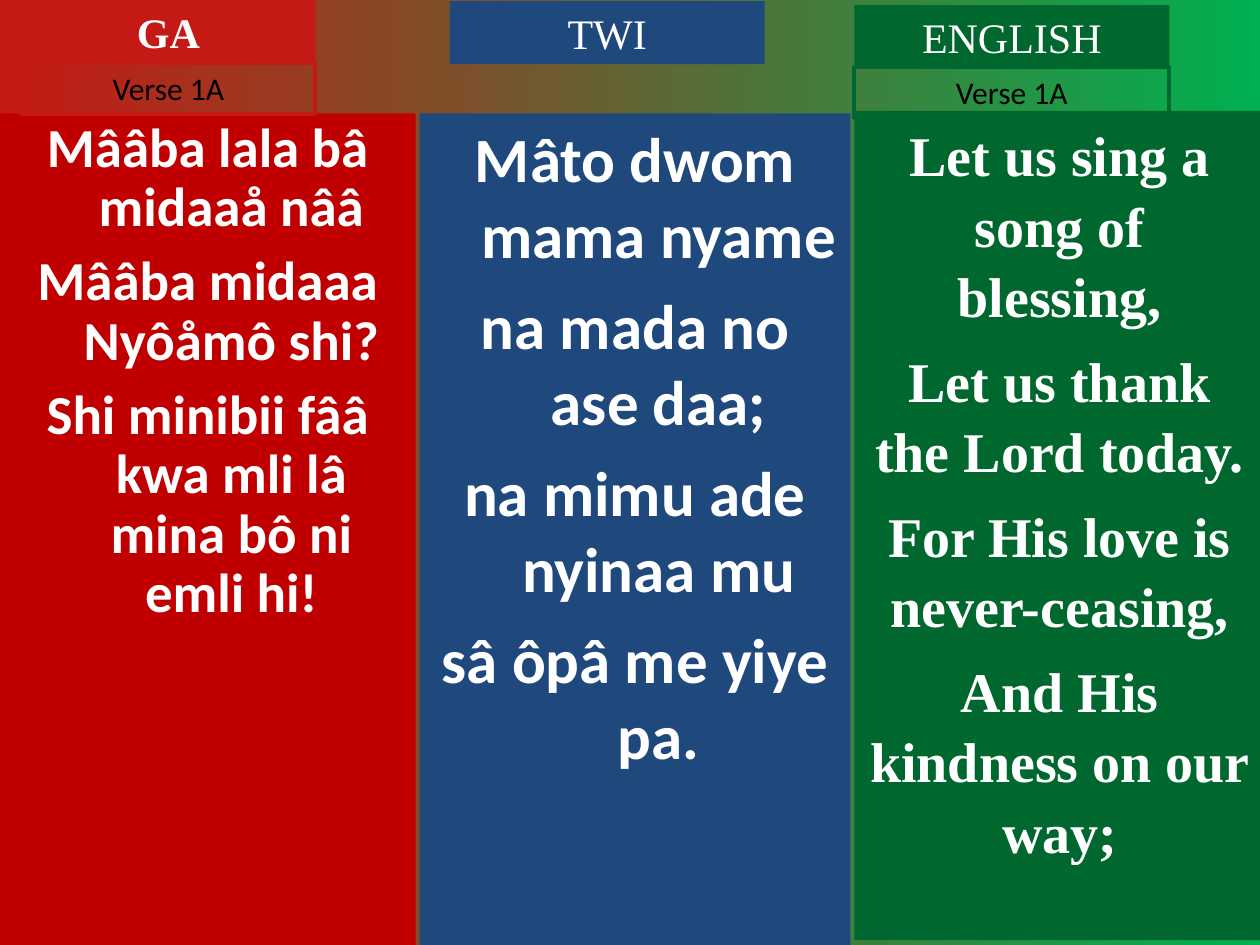
from pptx import Presentation
from pptx.dml.color import RGBColor
from pptx.enum.shapes import MSO_SHAPE
from pptx.enum.text import MSO_ANCHOR, MSO_AUTO_SIZE, PP_ALIGN
from pptx.util import Pt

RECTANGLE = MSO_SHAPE.RECTANGLE
TOP = MSO_ANCHOR.TOP
GROW = MSO_AUTO_SIZE.SHAPE_TO_FIT_TEXT
CENTER = PP_ALIGN.CENTER

COLORS = {
    "ga": "C51915",
    "ga_verse": "C00000",
    "twi": "1F497D",
    "english": "00682F",
    "bright_green": "00B050",
    "white": "FFFFFF",
    "black": "000000",
}
SANS, SERIF = "Calibri", "Times New Roman"
HANGING = 27

# box (left, top, width, height), fill, font size, font, paragraph format, hanging, lines
LYRICS = [
    ((0, 64.8, 237.6, 475.2), "ga_verse", 31.4, SANS,
     {"space_before": Pt(8.5), "line_spacing": 0.9}, True,
     ["Mââba lala bâ midaaå nââ",
      "Mââba midaaa Nyôåmô shi?",
      "Shi minibii fââ kwa mli lâ mina bô ni emli hi!"]),
    ((239.8, 64.8, 246.2, 475.2), "twi", 36, SANS,
     {"space_before": Pt(9)}, True,
     ["Mâto dwom mama nyame",
      "na mada no ase daa;",
      "na mimu ade nyinaa mu",
      "sâ ôpâ me yiye pa."]),
    ((488.2, 63.4, 234.7, 473.8), "english", 32, SERIF,
     {"space_before": Pt(8), "line_spacing": 1.05}, False,
     ["Let us sing a song of blessing,",
      "Let us thank the Lord today.",
      "For His love is never-ceasing,",
      "And His kindness on our way;"]),
]

# box, fill, language, bold
HEADINGS = [
    ((12.2, 0, 168, 36), "ga", "GA", True),
    ((257, 0.7, 180, 36), "twi", "TWI", False),
    ((488.2, 2.9, 180, 36), "english", "ENGLISH", False),
]

# box, outline
VERSE_TAGS = [
    ((12.2, 36, 168, 29), "ga"),
    ((488.2, 38.2, 180, 29), "english"),
]


def color(name):
    return RGBColor.from_string(COLORS[name])


def paint_background(slide):
    fill = slide.background.fill
    fill.gradient()
    fill.gradient_angle = 0
    for stop, name in zip(fill.gradient_stops, ("ga", "bright_green")):
        stop.color.rgb = color(name)


def add_panel(slide, box, fill=None, outline=None):
    panel = slide.shapes.add_shape(RECTANGLE, *map(Pt, box))
    panel.shadow.inherit = False
    if fill:
        panel.fill.solid()
        panel.fill.fore_color.rgb = color(fill)
    else:
        panel.fill.background()
    if outline:
        panel.line.color.rgb = color(outline)
        panel.line.width = Pt(2.25)
    else:
        panel.line.fill.background()
    panel.text_frame.word_wrap = True
    panel.text_frame.vertical_anchor = TOP
    return panel.text_frame


def write_line(paragraph, words, ink, font_format, paragraph_format):
    for name, value in {"alignment": CENTER, **paragraph_format}.items():
        setattr(paragraph, name, value)
    run = paragraph.add_run()
    run.text = words
    for name, value in font_format.items():
        setattr(run.font, name, value)
    run.font.color.rgb = color(ink)


def add_lyrics(slide, box, fill, size, font, spacing, hanging, lines):
    frame = add_panel(slide, box, fill)
    font_format = {"name": font, "size": Pt(size), "bold": True}
    for number, words in enumerate(lines):
        paragraph = frame.add_paragraph() if number else frame.paragraphs[0]
        if hanging:
            properties = paragraph._p.get_or_add_pPr()
            properties.set("marL", str(Pt(HANGING)))
            properties.set("indent", str(-Pt(HANGING)))
        # The first line starts at the top of its panel
        line_format = spacing if number else {**spacing, "space_before": Pt(0)}
        write_line(paragraph, words, "white", font_format, line_format)


def add_label(slide, box, words, ink, font_format, fill=None, outline=None):
    frame = add_panel(slide, box, fill, outline)
    frame.auto_size = GROW
    write_line(frame.paragraphs[0], words, ink, font_format, {})


def main():
    deck = Presentation()
    deck.slide_width, deck.slide_height = Pt(720), Pt(540)
    slide = deck.slides.add_slide(deck.slide_layouts[6])
    paint_background(slide)

    # Lyrics in three languages
    for column in LYRICS:
        add_lyrics(slide, *column)

    # Language headings
    for box, fill, language, bold in HEADINGS:
        heading_format = {"name": SERIF, "size": Pt(24), "bold": bold}
        add_label(slide, box, language, "white", heading_format, fill=fill)

    # Verse tags
    tag_format = {"name": SANS, "size": Pt(18), "bold": False}
    for box, outline in VERSE_TAGS:
        add_label(slide, box, "Verse 1A", "black", tag_format, outline=outline)

    deck.save("out.pptx")


if __name__ == "__main__":
    main()
